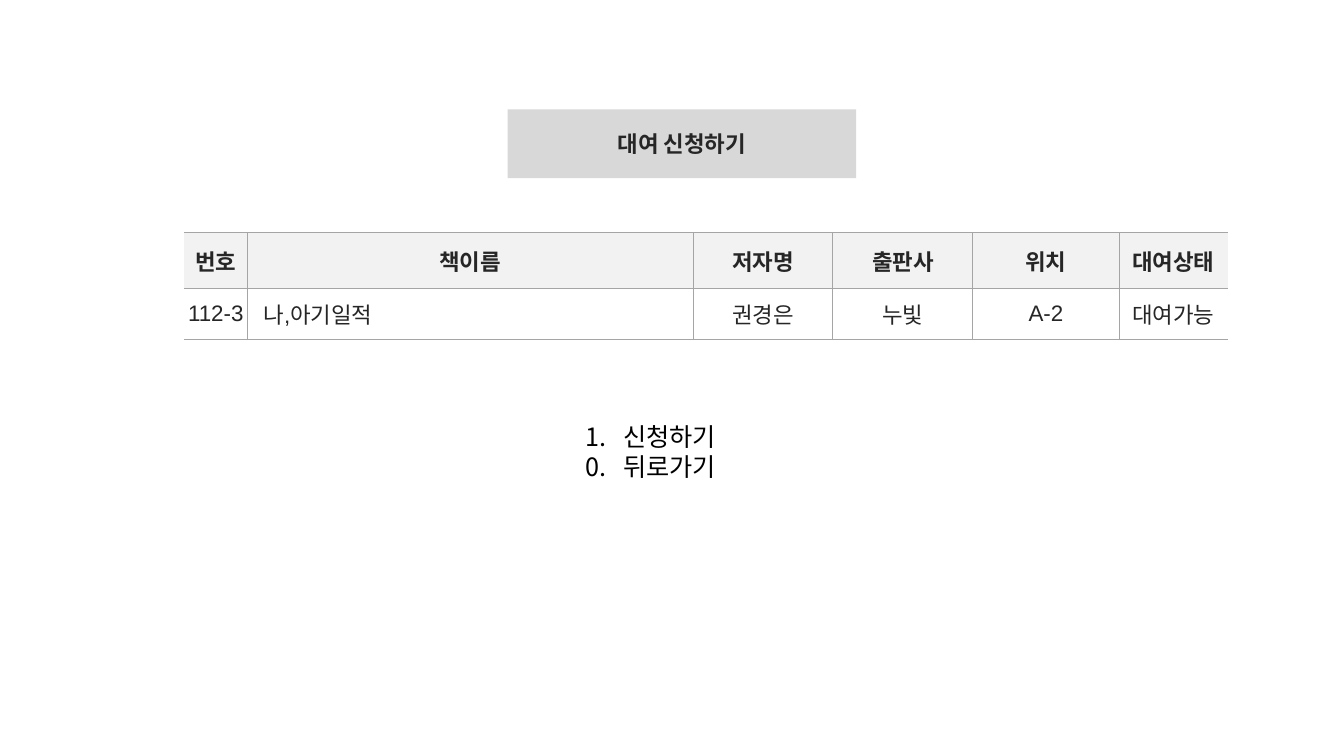
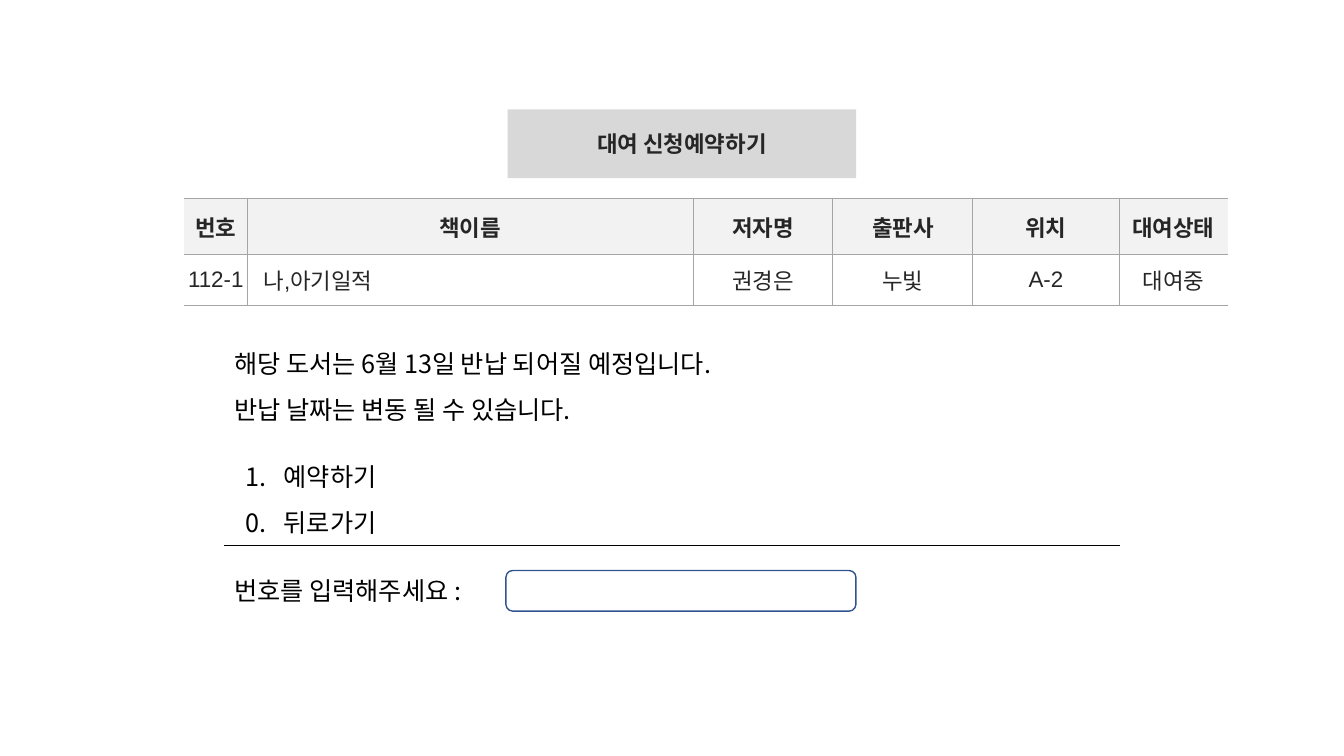
"""Build the two book rental screens."""
from dataclasses import dataclass
from typing import Any, Optional

from lxml.etree import SubElement
from pptx import Presentation
from pptx.dml.color import RGBColor
from pptx.enum.shapes import MSO_CONNECTOR as Link, MSO_SHAPE as Form
from pptx.enum.text import MSO_ANCHOR as Anchor, MSO_AUTO_SIZE as Auto, PP_ALIGN as Align
from pptx.oxml import parse_xml
from pptx.oxml.ns import nsdecls, qn
from pptx.util import Pt

SANS, ARIAL = "Noto Sans CJK KR", "Arial"
BLACK, DARK, GREY = "000000", "262626", "A5A5A5"
BAND, HEAD, WHITE, BLUE = "D8D8D8", "F2F2F2", "FFFFFF", "31538F"
HEADS = ["번호", "책이름", "저자명", "출판사", "위치", "대여상태"]
COLS = [45.4, 318.2, 100, 100, 104.4, 77.8]
ROWS = [39.8, 36.8]
TABLE_LEFT, HANG = 131.4, 27


@dataclass
class Box:
    """Hold a place and size in points."""
    left: float
    top: float
    width: float
    height: float

    def pts(self) -> list:
        """Give the four lengths."""
        return [Pt(n) for n in (self.left, self.top, self.width, self.height)]


@dataclass
class Screen:
    """Hold what differs between the screens."""
    title: str
    top: float
    book: list
    menu: list
    place: Box
    space: float = 1
    notes: Optional[list] = None
    ask: str = ""


TITLE = Box(362.6, 78.2, 249, 49)
NOTE = Box(160.2, 234.7, 396, 68.4)
ASK = Box(160.2, 407.5, 201.6, 29)
FIELD = Box(361.4, 407.5, 250, 29)
RULE = (160, 800, 389.8)

SCREENS = [
    Screen("대여 신청하기", 166.2,
           ["112-3", "나,아기일적", "권경은", "누빛", "A-2", "대여가능"],
           ["신청하기", "0.\t뒤로가기"], Box(411, 297.4, 436, 51)),
    Screen("대여 신청예약하기", 141.8,
           ["112-1", "나,아기일적", "권경은", "누빛", "A-2", "대여중"],
           ["예약하기", "0.\t뒤로가기"], Box(168.5, 315.4, 114.5, 68.4), 1.5,
           ["해당 도서는 6월 13일 반납 되어질 예정입니다.", "반납 날짜는 변동 될 수 있습니다."],
           "번호를 입력해주세요 :"),
]


def paint(part: Any, color: str) -> None:
    """Give a fill or line fill one solid colour."""
    part.solid()
    part.fore_color.rgb = RGBColor.from_string(color)


def style(para: Any, size: float, color: str, face: str = SANS, bold: bool = False) -> None:
    """Format every run of a paragraph."""
    for run in para.runs:
        font = run.font
        font.size, font.bold, font.name = Pt(size), bold, face
        paint(font.fill, color)
        SubElement(run._r.get_or_add_rPr(), qn("a:ea")).set("typeface", SANS)


def write(shape: Any, lines: list, space: float = 1) -> None:
    """Fill a shape with plain lines."""
    frame = shape.text_frame
    frame.text = "\n".join(lines)
    frame.word_wrap, frame.auto_size = True, Auto.NONE
    frame.vertical_anchor = Anchor.TOP
    for para in frame.paragraphs:
        para.line_spacing, para.space_before = space, Pt(0)
        style(para, 18, BLACK)


def place(shape: Any, box: Box) -> None:
    """Move a shape to its box."""
    shape.left, shape.top, shape.width, shape.height = box.pts()


def add_title(slide: Any, text: str) -> None:
    """Set the title on its grey band."""
    title = slide.shapes.title
    place(title, TITLE)
    paint(title.fill, BAND)
    write(title, [text])
    title.text_frame.vertical_anchor = Anchor.MIDDLE
    para = title.text_frame.paragraphs[0]
    para.alignment = Align.CENTER
    para.runs[0].font.size, para.runs[0].font.bold = Pt(16), True
    paint(para.runs[0].font.fill, DARK)


def add_menu(slide: Any, screen: Screen) -> None:
    """Set the choices as a hanging list."""
    body = slide.placeholders[1]
    place(body, screen.place)
    write(body, screen.menu, screen.space)
    for row, para in enumerate(body.text_frame.paragraphs):
        props = para._p.get_or_add_pPr()
        props.set("marL", str(Pt(HANG)))
        props.set("indent", str(-Pt(HANG)))
        if row:
            SubElement(props, qn("a:buNone"))
        else:
            SubElement(props, qn("a:buFont")).set("typeface", SANS)
            SubElement(props, qn("a:buAutoNum")).set("type", "arabicPeriod")


def edge(cell: Any, col: int) -> None:
    """Draw the cell borders, open at the table sides."""
    props = cell._tc.get_or_add_tcPr()
    open_side = {"L": col == 0, "R": col == len(COLS) - 1}
    for spot, side in enumerate("LRTB"):
        ink = ("<a:noFill/>" if open_side.get(side)
               else f'<a:solidFill><a:srgbClr val="{GREY}"/></a:solidFill>')
        props.insert(spot, parse_xml(
            f'<a:ln{side} {nsdecls("a")} w="{Pt(0.75)}">{ink}</a:ln{side}>'))


def add_grid(slide: Any, screen: Screen) -> None:
    """Draw the book table."""
    box = Box(TABLE_LEFT, screen.top, sum(COLS), sum(ROWS))
    grid = slide.shapes.add_table(len(ROWS), len(COLS), *box.pts()).table
    grid.horz_banding = False
    for col, width in enumerate(COLS):
        grid.columns[col].width = Pt(width)
    for row, texts in enumerate([HEADS, screen.book]):
        grid.rows[row].height = Pt(ROWS[row])
        for col, text in enumerate(texts):
            cell = grid.cell(row, col)
            name = row == 1 and col == 1
            cell.margin_left = Pt(11.5 if name else 0)
            cell.margin_right = cell.margin_top = cell.margin_bottom = 0
            cell.vertical_anchor = Anchor.MIDDLE
            paint(cell.fill, WHITE if row else HEAD)
            edge(cell, col)
            para = cell.text_frame.paragraphs[0]
            para.text = text
            para.alignment = Align.LEFT if name else Align.CENTER
            style(para, 16, DARK, ARIAL, row == 0)


def add_text(slide: Any, box: Box, lines: list, space: float = 1) -> None:
    """Add a text box."""
    write(slide.shapes.add_textbox(*box.pts()), lines, space)


def add_rule(slide: Any) -> None:
    """Draw the line above the prompt."""
    left, right, top = RULE
    rule = slide.shapes.add_connector(Link.STRAIGHT, Pt(left), Pt(top), Pt(right), Pt(top))
    rule.line.width = Pt(0.75)
    paint(rule.line.fill, BLACK)
    SubElement(rule._element.spPr, qn("a:effectLst"))


def add_field(slide: Any) -> None:
    """Draw the empty entry field."""
    field = slide.shapes.add_shape(Form.ROUNDED_RECTANGLE, *FIELD.pts())
    field.shadow.inherit = False
    paint(field.fill, WHITE)
    paint(field.line.fill, BLUE)
    field.line.width = Pt(1)


def main() -> None:
    """Build and save the deck."""
    deck = Presentation()
    deck.slide_width, deck.slide_height = Pt(960), Pt(540)
    for screen in SCREENS:
        slide = deck.slides.add_slide(deck.slide_layouts[1])
        add_title(slide, screen.title)
        add_grid(slide, screen)
        add_menu(slide, screen)
        if screen.notes:
            add_text(slide, NOTE, screen.notes, screen.space)
        if screen.ask:
            add_rule(slide)
            add_text(slide, ASK, [screen.ask])
            add_field(slide)
    deck.save("out.pptx")


if __name__ == "__main__":
    main()
